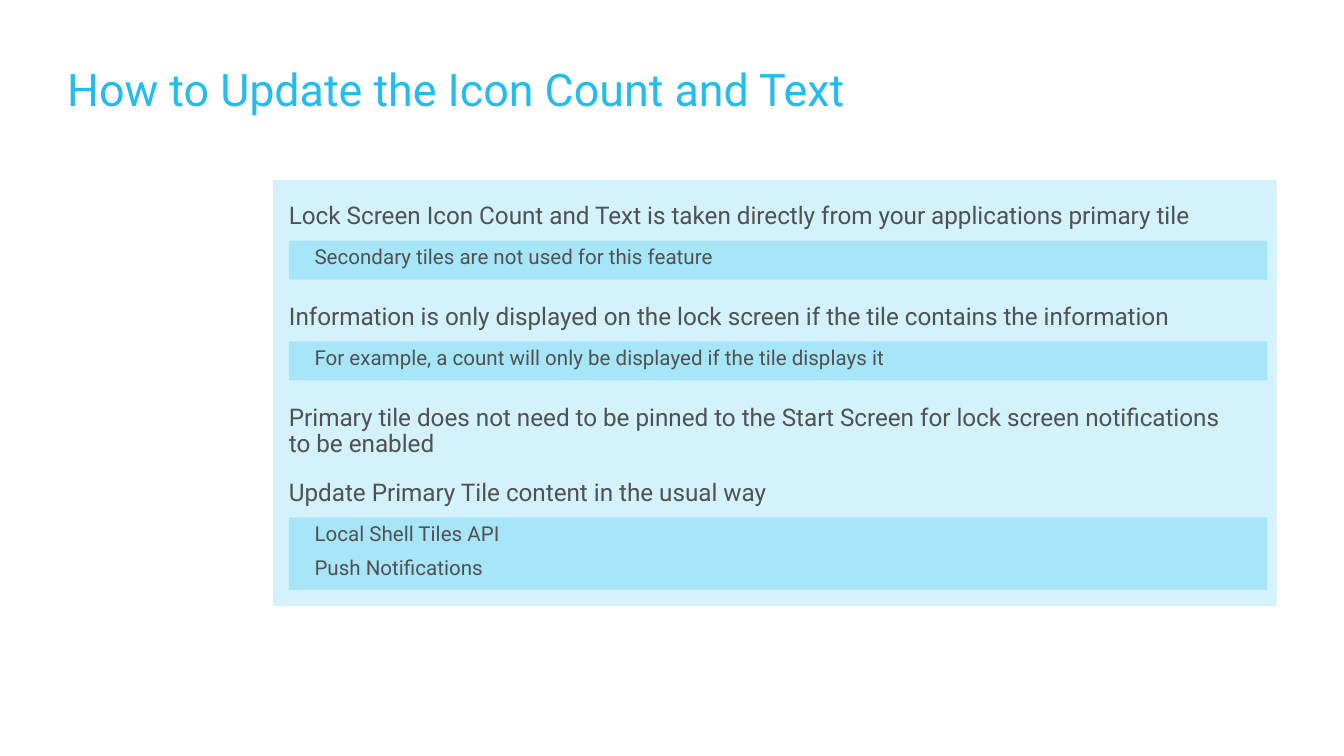
from dataclasses import dataclass

from pptx import Presentation
from pptx.dml.color import RGBColor
from pptx.enum import shapes, text
from pptx.util import Inches, Pt


@dataclass(frozen=True)
class Theme:
    font: str = "Roboto"
    accent: RGBColor = RGBColor(0x22, 0xBD, 0xEF)
    ink: RGBColor = RGBColor(0x50, 0x51, 0x51)
    panel: RGBColor = RGBColor(0xD3, 0xF2, 0xFC)
    band: RGBColor = RGBColor(0xA7, 0xE5, 0xF9)
    title: int = 24
    head: int = 13
    body: int = 11


@dataclass(frozen=True)
class Block:
    top: float
    head_h: float
    heads: tuple[str, ...]
    band_h: float
    notes: tuple[str, ...]


THEME = Theme()
LEFT, WIDTH = 2.15, 7.28
GAP = 0.03  # between heading and band
BLOCKS = (
    Block(1.46, 0.3,
          ("Lock Screen Icon Count and Text is taken directly from your applications primary tile",),
          0.29, ("Secondary tiles are not used for this feature",)),
    Block(2.21, 0.3,
          ("Information is only displayed on the lock screen if the tile contains the information",),
          0.29, ("For example, a count will only be displayed if the tile displays it",)),
    Block(2.96, 0.86,
          ("Primary tile does not need to be pinned to the Start Screen"
           " for lock screen notifications \vto be enabled",
           "Update Primary Tile content in the usual way"),
          0.54, ("Local Shell Tiles API", "Push Notifications")),
)


def set_frame(frame, insets: tuple[float, ...], anchor) -> None:
    frame.word_wrap = True
    frame.auto_size = text.MSO_AUTO_SIZE.SHAPE_TO_FIT_TEXT
    frame.vertical_anchor = anchor
    (frame.margin_left, frame.margin_top,
     frame.margin_right, frame.margin_bottom) = map(Inches, insets)


def set_para(para, size: int, color: RGBColor, spacing: float) -> None:
    para.alignment = text.PP_ALIGN.LEFT
    para.line_spacing = spacing
    para.font.name = THEME.font
    para.font.size = Pt(size)
    para.font.color.rgb = color


def fill_lines(frame, lines: tuple[str, ...], size: int) -> list:
    paras = []
    for i, line in enumerate(lines):
        para = frame.add_paragraph() if i else frame.paragraphs[0]
        para.text = line
        set_para(para, size, THEME.ink, 0.9)
        paras.append(para)
    return paras


def add_rect(parent, left: float, top: float, width: float, height: float,
             color: RGBColor):
    rect = parent.add_shape(shapes.MSO_SHAPE.RECTANGLE, Inches(left),
                            Inches(top), Inches(width), Inches(height))
    rect.shadow.inherit = False
    rect.fill.solid()
    rect.fill.fore_color.rgb = color
    rect.line.fill.background()
    return rect


def add_block(slide, block: Block) -> None:
    group = slide.shapes.add_group_shape().shapes

    # Band with indented notes
    top = block.top + block.head_h + GAP
    band = add_rect(group, LEFT, top, WIDTH, block.band_h, THEME.band)
    set_frame(band.text_frame, (0, 0.05, 0.1, 0.07), text.MSO_ANCHOR.TOP)
    for para in fill_lines(band.text_frame, block.notes, THEME.body):
        para.level = 1
        para.space_after = Pt(6)
        props = para._p.get_or_add_pPr()
        props.set("marL", str(Inches(0.19)))
        props.set("indent", "0")

    # Headings above the band
    box = group.add_textbox(Inches(LEFT), Inches(block.top),
                            Inches(WIDTH), Inches(block.head_h))
    set_frame(box.text_frame, (0, 0.05, 0.1, 0.05), text.MSO_ANCHOR.BOTTOM)
    for para in fill_lines(box.text_frame, block.heads, THEME.head)[1:]:
        para.space_before = Pt(12)


def main() -> None:
    # Widescreen page, 16:9
    deck = Presentation()
    deck.slide_width = Inches(10)
    deck.slide_height = deck.slide_width * 9 // 16
    slide = deck.slides.add_slide(deck.slide_layouts[5])

    # Title
    title = slide.shapes.title
    title.left, title.top = Inches(0.5), Inches(0.44)
    title.width, title.height = Inches(9), Inches(0.39)
    title.text = "How to Update the Icon Count and Text"
    set_frame(title.text_frame, (0, 0, 0, 0), text.MSO_ANCHOR.TOP)
    set_para(title.text_frame.paragraphs[0], THEME.title, THEME.accent, 1.05)

    # Panel and its blocks
    add_rect(slide.shapes, 2.03, 1.34, 7.47, 3.17, THEME.panel)
    for block in BLOCKS:
        add_block(slide, block)

    deck.save("out.pptx")


if __name__ == "__main__":
    main()
